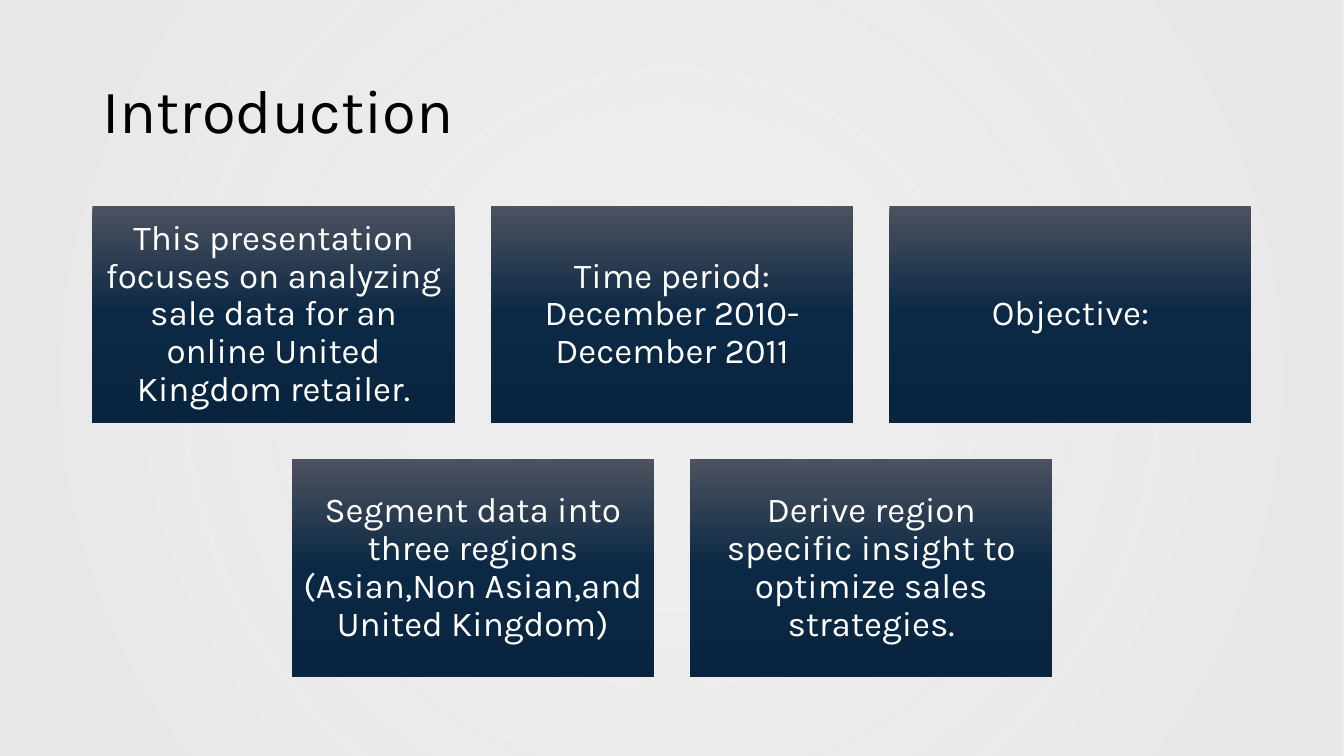
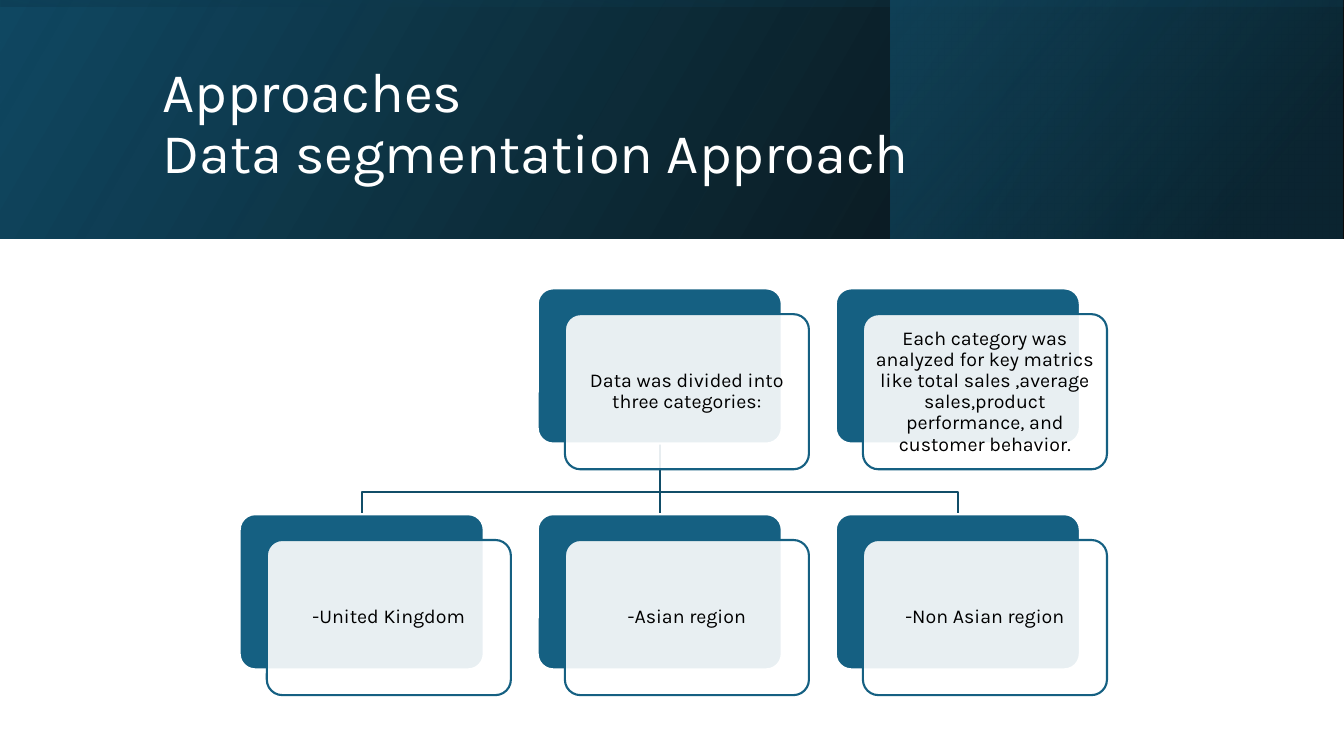
from dataclasses import dataclass
from typing import NamedTuple

from lxml import etree
from pptx import Presentation
from pptx.dml.color import RGBColor
from pptx.enum.shapes import MSO_CONNECTOR, MSO_SHAPE
from pptx.enum.text import MSO_ANCHOR, PP_ALIGN
from pptx.oxml import parse_xml
from pptx.oxml.ns import nsdecls, qn
from pptx.util import Pt

RECTANGLE = MSO_SHAPE.RECTANGLE
ROUNDED = MSO_SHAPE.ROUNDED_RECTANGLE
STRAIGHT = MSO_CONNECTOR.STRAIGHT
MIDDLE = MSO_ANCHOR.MIDDLE
LEFT, CENTER = PP_ALIGN.LEFT, PP_ALIGN.CENTER

SLIDE_W, SLIDE_H = 960, 540


@dataclass(frozen=True)
class Theme:
    font: str = "Karla"
    black: str = "000000"
    white: str = "FFFFFF"
    backdrop: str = "E8E8E8"
    teal: str = "156082"
    deep_teal: str = "104862"
    night_teal: str = "0B3041"
    link: str = "114D68"
    tile_top: str = "4C525F"
    tile_middle: str = "0B2844"
    tile_bottom: str = "08243E"
    title_size: float = 44
    band_title_size: float = 40
    tile_size: float = 25
    card_size: float = 14
    line_spacing: float = 0.9
    line_width: float = 1.5


THEME = Theme()


class Box(NamedTuple):
    left: float
    top: float
    width: float
    height: float


class Stop(NamedTuple):
    position: int
    color: str
    opacity: int = 100


@dataclass(frozen=True)
class Gradient:
    """A linear gradient, or a radial one when angle is None."""
    stops: tuple[Stop, ...]
    angle: int | None = None


@dataclass(frozen=True)
class Band:
    box: Box
    gradient: Gradient
    rotation: int = 0


@dataclass(frozen=True)
class Card:
    column: int
    row: int
    text: str


BACKDROP = Gradient((Stop(10, THEME.backdrop, 68), Stop(85, THEME.backdrop, 97)))
TILE_GRADIENT = Gradient(
    (Stop(0, THEME.tile_top), Stop(50, THEME.tile_middle), Stop(100, THEME.tile_bottom)), 90)

TILE_ROWS = (
    (
        "This presentation focuses on analyzing sale data for an online United Kingdom retailer.",
        "Time period: December 2010- December 2011",
        "Objective:",
    ),
    (
        "Segment data into three regions (Asian,Non Asian,and United Kingdom)",
        "Derive region specific insight to optimize sales strategies.",
    ),
)
TILE_AREA_W, TILE_TOP = 828, 147
TILE_W = TILE_AREA_W / 3.2
TILE_H = TILE_W * 0.6
TILE_GAP = TILE_W * 0.1

BAND_H = 170.6
BANDS = (
    Band(Box(0, 0, SLIDE_W, BAND_H),
         Gradient((Stop(0, THEME.black, 96), Stop(100, THEME.deep_teal)), 330)),
    Band(Box(636.4, 0, 322.6, BAND_H),
         Gradient((Stop(19, THEME.night_teal, 68), Stop(100, THEME.teal, 48)), 320)),
    # Upright box turned a quarter so that it covers the first band
    Band(Box((SLIDE_W - BAND_H) / 2, (BAND_H - SLIDE_W) / 2, BAND_H, SLIDE_W),
         Gradient((Stop(23, THEME.deep_teal, 16), Stop(99, THEME.black, 45)), 350), 270),
)

CARDS = (
    Card(1, 0, "Data was divided into three categories:"),
    Card(0, 1, "-United Kingdom"),
    Card(1, 1, "-Asian region"),
    Card(2, 1, "-Non Asian region"),
    Card(2, 0, "Each category was analyzed for key matrics like total sales ,average "
               "sales,product performance, and customer behavior."),
)
CARD_LEFT, CARD_TOP = 171.2, 206
CARD_W, CARD_H = 174.3, 110.8
COLUMN_STEP, ROW_STEP = 212.9, 161.3
FRONT_SHIFT_X, FRONT_SHIFT_Y = 19.4, 18.4
BRANCH_Y = 351.4


def color(value: str) -> RGBColor:
    return RGBColor.from_string(value)


def add_plain_shape(slide, box: Box, kind=RECTANGLE):
    """Add a preset shape with no shadow, fill or line."""
    shape = slide.shapes.add_shape(kind, *map(Pt, box))
    shape.shadow.inherit = False
    shape.fill.background()
    shape.line.fill.background()
    return shape


def fill_gradient(shape, gradient: Gradient) -> None:
    stops = "".join(
        f'<a:gs pos="{stop.position * 1000}"><a:srgbClr val="{stop.color}">'
        f'<a:alpha val="{stop.opacity * 1000}"/></a:srgbClr></a:gs>'
        for stop in gradient.stops)
    if gradient.angle is None:
        course = ('<a:path path="circle"><a:fillToRect l="50000" t="50000" '
                  'r="50000" b="50000"/></a:path>')
    else:
        course = f'<a:lin ang="{gradient.angle * 60000}" scaled="0"/>'
    properties = shape.element.spPr
    properties.replace(properties.find(qn("a:noFill")), parse_xml(
        f'<a:gradFill {nsdecls("a")} rotWithShape="1"><a:gsLst>{stops}</a:gsLst>'
        f'{course}</a:gradFill>'))


def fill_solid(shape, value: str, opacity: int = 100) -> None:
    shape.fill.solid()
    shape.fill.fore_color.rgb = color(value)
    if opacity < 100:
        swatch = shape.element.spPr.find(qn("a:solidFill")).find(qn("a:srgbClr"))
        etree.SubElement(swatch, qn("a:alpha")).set("val", str(opacity * 1000))


def set_line(shape, value: str) -> None:
    shape.line.color.rgb = color(value)
    shape.line.width = Pt(THEME.line_width)


def write(shape, text: str, size: float, ink: str, align=CENTER,
          inset: tuple[float, float] = (7.2, 7.2)) -> None:
    frame = shape.text_frame
    frame.text = text
    frame.word_wrap = True
    frame.vertical_anchor = MIDDLE
    frame.margin_left = frame.margin_right = Pt(inset[0])
    frame.margin_top = frame.margin_bottom = Pt(inset[1])
    for paragraph in frame.paragraphs:
        paragraph.alignment = align
        paragraph.line_spacing = THEME.line_spacing
        for run in paragraph.runs:
            run.font.name = THEME.font
            run.font.size = Pt(size)
            run.font.color.rgb = color(ink)


def add_title(slide, box: Box, text: str, size: float, ink: str) -> None:
    title = slide.shapes.add_textbox(*map(Pt, box))
    write(title, text, size, ink, LEFT, (7.2, 3.6))


def add_tile_row(slide, row: int, texts: tuple[str, ...]) -> None:
    """Draw one centred row of gradient tiles."""
    step = TILE_W + TILE_GAP
    left = (SLIDE_W - len(texts) * step + TILE_GAP) / 2
    top = TILE_TOP + row * (TILE_H + TILE_GAP)
    for column, text in enumerate(texts):
        tile = add_plain_shape(slide, Box(left + column * step, top, TILE_W, TILE_H))
        fill_gradient(tile, TILE_GRADIENT)
        write(tile, text, THEME.tile_size, THEME.white)


def add_band(slide, band: Band) -> None:
    shape = add_plain_shape(slide, band.box)
    shape.rotation = band.rotation
    shape.element.spPr.find(qn("a:xfrm")).set("flipH", "1")
    fill_gradient(shape, band.gradient)


def add_branches(slide) -> None:
    """Link the first card to the three cards below it."""
    left, middle, right = (CARD_LEFT + CARD_W / 2 + i * COLUMN_STEP for i in range(3))
    start, end = CARD_TOP + CARD_H, CARD_TOP + ROW_STEP
    builder = slide.shapes.build_freeform(Pt(left), Pt(end))
    builder.add_line_segments(
        [(Pt(left), Pt(BRANCH_Y)), (Pt(right), Pt(BRANCH_Y)), (Pt(right), Pt(end))], close=False)
    bracket = builder.convert_to_shape()
    bracket.shadow.inherit = False
    bracket.fill.background()
    set_line(bracket, THEME.link)

    trunk = slide.shapes.add_connector(STRAIGHT, Pt(middle), Pt(start), Pt(middle), Pt(end))
    set_line(trunk, THEME.link)
    etree.SubElement(trunk.element.spPr, qn("a:effectLst"))


def add_card(slide, card: Card) -> None:
    """Draw a solid back plate with a pale text plate shifted over it."""
    left = CARD_LEFT + card.column * COLUMN_STEP
    top = CARD_TOP + card.row * ROW_STEP
    back = add_plain_shape(slide, Box(left, top, CARD_W, CARD_H), ROUNDED)
    front = add_plain_shape(
        slide, Box(left + FRONT_SHIFT_X, top + FRONT_SHIFT_Y, CARD_W, CARD_H), ROUNDED)
    for plate in (back, front):
        plate.adjustments[0] = 0.1
    fill_solid(back, THEME.teal)
    set_line(back, THEME.white)
    fill_solid(front, THEME.white, 90)
    set_line(front, THEME.teal)
    write(front, card.text, THEME.card_size, THEME.black, inset=(4.4, 4.4))


def build_introduction(slide) -> None:
    backdrop = add_plain_shape(slide, Box(0, 0, SLIDE_W, SLIDE_H))
    fill_gradient(backdrop, BACKDROP)
    add_title(slide, Box(66, 28.8, 828, 104.4), "Introduction", THEME.title_size, THEME.black)
    for row, texts in enumerate(TILE_ROWS):
        add_tile_row(slide, row, texts)


def build_approaches(slide) -> None:
    for band in BANDS:
        add_band(slide, band)
    add_title(slide, Box(109, 27.4, 765, 123.8), "Approaches\vData segmentation Approach",
              THEME.band_title_size, THEME.white)
    add_branches(slide)
    for card in CARDS:
        add_card(slide, card)


def main() -> None:
    presentation = Presentation()
    presentation.slide_width, presentation.slide_height = Pt(SLIDE_W), Pt(SLIDE_H)
    blank = presentation.slide_layouts[6]
    for build in (build_introduction, build_approaches):
        build(presentation.slides.add_slide(blank))
    presentation.save("out.pptx")


if __name__ == "__main__":
    main()
